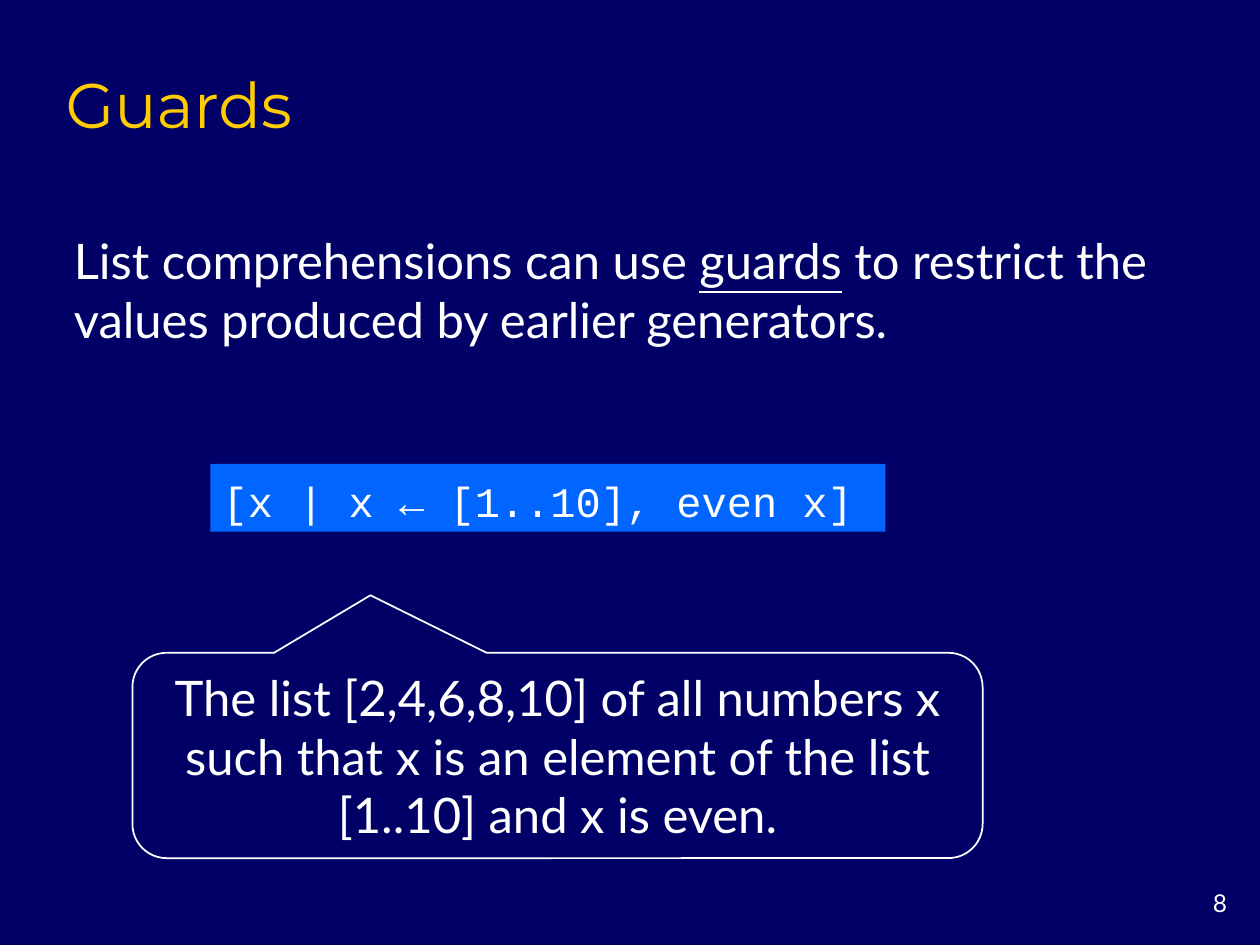
import pptx
import pptx.util
import pptx.dml.color
import pptx.enum.shapes
import pptx.enum.text
from dataclasses import dataclass

Cm = pptx.util.Cm
Pt = pptx.util.Pt
Color = pptx.dml.color.RGBColor.from_string
Kind = pptx.enum.shapes.MSO_SHAPE
Align = pptx.enum.text.PP_ALIGN
Anchor = pptx.enum.text.MSO_ANCHOR
Fit = pptx.enum.text.MSO_AUTO_SIZE


@dataclass(frozen=True)
class Theme:
    back: str = "000066"
    head: str = "FFCC00"
    ink: str = "FFFFFF"
    box: str = "0066FF"
    sans: str = "Lato"
    mono: str = "Courier New"
    show: str = "Montserrat"
    big: int = 36
    main: int = 28
    code: int = 24
    small: int = 14


THEME = Theme()


def style(run, size, face=THEME.sans, ink=THEME.ink):
    run.font.size = Pt(size)
    run.font.name = face
    run.font.color.rgb = Color(ink)


def write(shape, text, size, face=THEME.sans, ink=THEME.ink,
          align=Align.LEFT, anchor=Anchor.MIDDLE, wrap=True):
    frame = shape.text_frame
    frame.text = text
    frame.word_wrap = wrap
    frame.auto_size = Fit.NONE
    frame.vertical_anchor = anchor
    para = frame.paragraphs[0]
    para.alignment = align
    for run in para.runs:
        style(run, size, face, ink)
    return para


def add_title(slide, text):
    title = slide.shapes.title
    title.left, title.top = Cm(1.07), Cm(1.07)
    title.width, title.height = Cm(21.59), Cm(1.9)
    write(title, text, THEME.big, THEME.show, THEME.head, anchor=Anchor.BOTTOM)


def add_text(slide, place, text, size, **look):
    box = slide.shapes.add_textbox(*map(Cm, place))
    return write(box, text, size, **look)


def add_shape(slide, kind, place):
    shape = slide.shapes.add_shape(kind, *map(Cm, place))
    shape.shadow.inherit = False
    return shape


def add_code(slide, place, text):
    box = add_shape(slide, Kind.RECTANGLE, place)
    box.fill.solid()
    box.fill.fore_color.rgb = Color(THEME.box)
    box.line.fill.background()
    para = write(box, text, THEME.code, THEME.mono, wrap=False)
    para.line_spacing = 1.1


def add_note(slide, place, text, tip):
    note = add_shape(slide, Kind.ROUNDED_RECTANGULAR_CALLOUT, place)
    note.adjustments[0], note.adjustments[1] = tip
    note.fill.background()
    note.line.color.rgb = Color(THEME.ink)
    note.line.width = Pt(1)
    write(note, text, THEME.main, align=Align.CENTER)


def main():
    deck = pptx.Presentation()
    deck.slide_width, deck.slide_height = Cm(25.4), Cm(19.05)
    slide = deck.slides.add_slide(deck.slide_layouts[5])
    slide.background.fill.solid()
    slide.background.fill.fore_color.rgb = Color(THEME.back)

    # Page number and title
    add_text(slide, (23.29, 17.78, 1.7, 0.84), "8", THEME.small,
             align=Align.RIGHT, anchor=Anchor.TOP)
    add_title(slide, "Guards")

    # Opening statement with the key term underlined
    para = add_text(slide, (1.24, 4.52, 22.81, 2.62),
                    "List comprehensions can use ", THEME.main)
    for text in ("guards", " to restrict the values produced by earlier generators."):
        run = para.add_run()
        run.text = text
        style(run, THEME.main)
    para.runs[1].font.underline = True

    # Code example and its meaning
    add_code(slide, (4.24, 9.35, 13.61, 1.37), "[x | x ← [1..10], even x]")
    add_note(slide, (2.67, 13.16, 17.14, 4.14),
             "The list [2,4,6,8,10] of all numbers x such that x is an element "
             "of the list [1..10] and x is even.", (-0.22, -0.78))

    deck.save("out.pptx")


if __name__ == "__main__":
    main()
